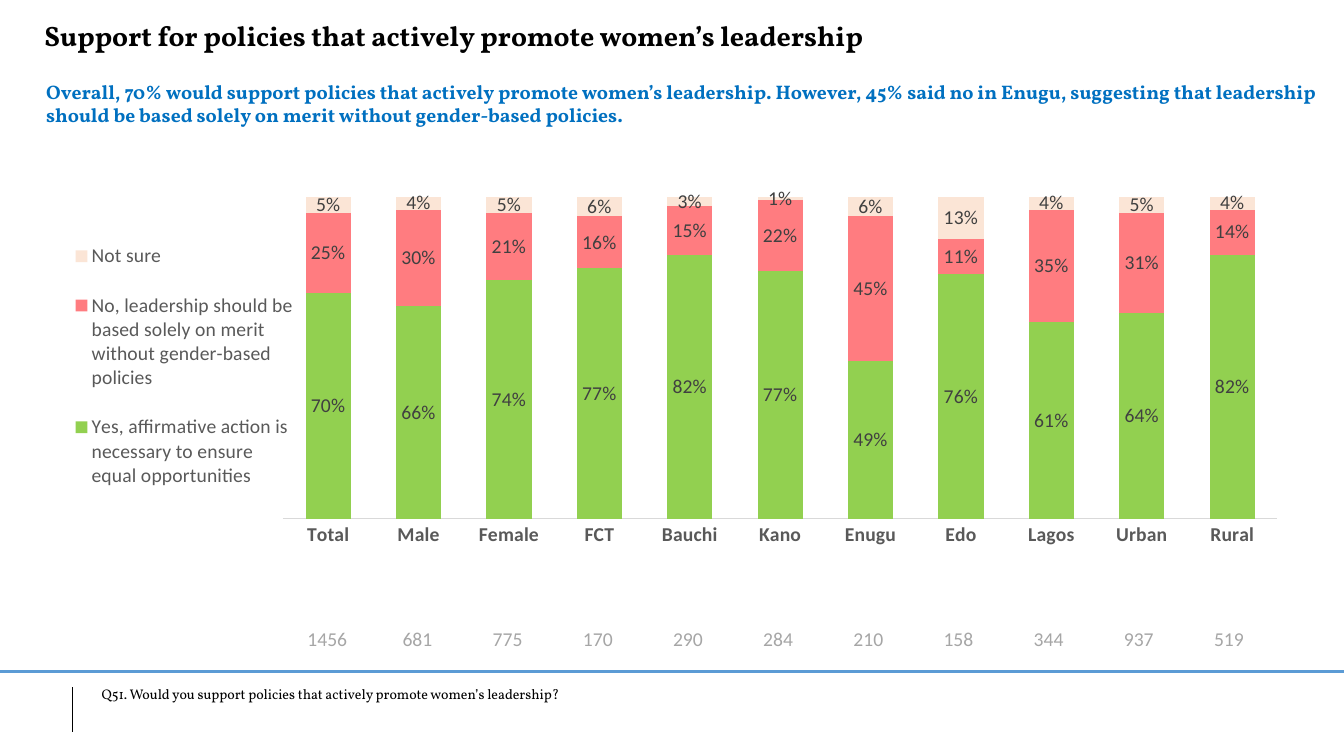
from lxml.etree import SubElement
from pptx import Presentation
from pptx.chart.data import CategoryChartData
from pptx.dml.color import RGBColor
from pptx.enum.chart import XL_CHART_TYPE, XL_LABEL_POSITION, XL_LEGEND_POSITION, XL_TICK_MARK
from pptx.enum.shapes import MSO_CONNECTOR
from pptx.enum.text import MSO_ANCHOR, PP_ALIGN
from pptx.oxml import parse_xml
from pptx.oxml.ns import nsdecls, qn
from pptx.util import Pt

COLOURS = {
    "black": "000000", "blue": "0070C0", "rule": "5B9BD5", "axis": "D9D9D9",
    "axis text": "595959", "label": "404040", "base": "A6A6A6",
    "yes": "92D050", "no": "FF7C80", "unsure": "FBE5D6",
}

GROUPS = ["Total", "Male", "Female", "FCT", "Bauchi", "Kano",
          "Enugu", "Edo", "Lagos", "Urban", "Rural"]
BASES = [1456, 681, 775, 170, 290, 284, 210, 158, 344, 937, 519]
ANSWERS = [
    ("Yes, affirmative action is necessary to ensure equal opportunities", "yes",
     [0.70, 0.66, 0.74, 0.77, 0.82, 0.77, 0.49, 0.76, 0.61, 0.64, 0.82]),
    ("No, leadership should be based solely on merit without gender-based policies", "no",
     [0.25, 0.30, 0.21, 0.16, 0.15, 0.22, 0.45, 0.11, 0.35, 0.31, 0.14]),
    ("Not sure", "unsure",
     [0.05, 0.04, 0.05, 0.06, 0.03, 0.01, 0.06, 0.13, 0.04, 0.05, 0.04]),
]


def colour(name):
    return RGBColor.from_string(COLOURS[name])


def chart_layout(left, top, width, height, inner=False):
    target = '<c:layoutTarget val="inner"/>' if inner else ""
    sizes = "".join(f'<c:{tag} val="{value}"/>' for tag, value in
                    zip("xywh", (left, top, width, height)))
    return parse_xml(
        f'<c:layout {nsdecls("c")}><c:manualLayout>{target}'
        f'<c:xMode val="edge"/><c:yMode val="edge"/>{sizes}'
        '</c:manualLayout></c:layout>')


class SurveySlide:
    """Style and elements of one survey result page."""
    text_font = "Vollkorn"
    data_font = "Calibri"
    data_size = 14

    def __init__(self, deck):
        self.page = deck.slides.add_slide(deck.slide_layouts[5])

    def style(self, font, name, size, shade, bold=False):
        font.name, font.size, font.bold = name, Pt(size), bold
        font.color.rgb = colour(shade)

    def fill_text(self, box, text, size, shade, bold):
        frame = box.text_frame
        frame.text = text
        frame.word_wrap = True
        frame.vertical_anchor = MSO_ANCHOR.TOP
        para = frame.paragraphs[0]
        para.alignment = PP_ALIGN.LEFT
        self.style(para.runs[0].font, self.text_font, size, shade, bold)

    def title(self, text, left, top, width, height):
        box = self.page.shapes.title
        box.left, box.top, box.width, box.height = map(Pt, (left, top, width, height))
        self.fill_text(box, text, 20, "black", True)

    def text(self, text, left, top, width, height, size, shade, bold=False):
        box = self.page.shapes.add_textbox(*map(Pt, (left, top, width, height)))
        self.fill_text(box, text, size, shade, bold)

    def line(self, start, end, shade, weight):
        line = self.page.shapes.add_connector(
            MSO_CONNECTOR.STRAIGHT, *map(Pt, (*start, *end)))
        line.line.color.rgb = colour(shade)
        line.line.width = Pt(weight)
        SubElement(line._element.spPr, qn("a:effectLst"))

    def chart(self, left, top, width, height):
        data = CategoryChartData(number_format="0%")
        data.categories = GROUPS
        for name, _, values in ANSWERS:
            data.add_series(name, values)
        chart = self.page.shapes.add_chart(
            XL_CHART_TYPE.COLUMN_STACKED_100, *map(Pt, (left, top, width, height)), data).chart
        chart.has_title = False
        self.style(chart.font, self.data_font, 10, "black")

        # Columns and their labels
        plot = chart.plots[0]
        plot.gap_width = plot.overlap = 100
        plot.vary_by_categories = False
        for series, (_, shade, _) in zip(plot.series, ANSWERS):
            series.format.fill.solid()
            series.format.fill.fore_color.rgb = colour(shade)
            labels = series.data_labels
            labels.show_value = True
            labels.position = XL_LABEL_POSITION.CENTER
            labels.number_format = "0%"
            labels.number_format_is_linked = False
            self.style(labels.font, self.data_font, self.data_size, "label")

        # Axes
        axis = chart.category_axis
        axis.major_tick_mark = XL_TICK_MARK.NONE
        axis.format.line.color.rgb = colour("axis")
        axis.format.line.width = Pt(0.75)
        self.style(axis.tick_labels.font, self.data_font, self.data_size, "axis text", True)
        chart.value_axis.visible = False
        chart.value_axis.has_major_gridlines = False

        # Legend and plot area
        chart.has_legend = True
        legend = chart.legend
        legend.position = XL_LEGEND_POSITION.LEFT
        legend.include_in_layout = False
        self.style(legend.font, self.data_font, self.data_size, "axis text")
        for old in legend._element.findall(qn("c:layout")):
            legend._element.remove(old)
        legend._element.find(qn("c:legendPos")).addnext(chart_layout(0, 0.13, 0.18, 0.74))
        area = chart._chartSpace.chart.plotArea
        for old in area.findall(qn("c:layout")):
            area.remove(old)
        area.insert(0, chart_layout(0.171, 0.074, 0.816, 0.811, inner=True))

    def base_row(self, left, top, width, height):
        table = self.page.shapes.add_table(
            1, len(BASES), *map(Pt, (left, top, width, height))).table
        table.first_row = table.horz_banding = False
        for cell, base in zip(table.rows[0].cells, BASES):
            cell.fill.background()
            cell.vertical_anchor = MSO_ANCHOR.BOTTOM
            cell.margin_left = cell.margin_right = cell.margin_top = Pt(0.75)
            cell.margin_bottom = 0
            cell.text_frame.text = str(base)
            para = cell.text_frame.paragraphs[0]
            para.alignment = PP_ALIGN.CENTER
            self.style(para.runs[0].font, self.data_font, self.data_size, "base")


def main():
    deck = Presentation()
    deck.slide_width, deck.slide_height = Pt(960), Pt(540)
    slide = SurveySlide(deck)

    # Footer rules and question
    slide.line((0, 479.5), (960, 479.5), "rule", 2.25)
    slide.line((51.8, 491), (51.8, 522.7), "black", 0.5)
    slide.text("Q51. Would you support policies that actively promote women’s leadership?",
               65.5, 486, 838, 19.4, 10, "black")

    # Headline and main finding
    slide.title("Support for policies that actively promote women’s leadership",
                24.5, 9.4, 641, 31.7)
    slide.text("Overall, 70% would support policies that actively promote women’s leadership. "
               "However, 45% said no in Enugu, suggesting that leadership should be based "
               "solely on merit without gender-based policies.",
               25.9, 53.3, 922.3, 41, 14, "blue", True)

    # Results by group, with the number of respondents below
    slide.chart(53.3, 119.5, 870.5, 283.7)
    slide.base_row(201.6, 445, 708.5, 20.2)
    deck.save("out.pptx")


if __name__ == "__main__":
    main()
